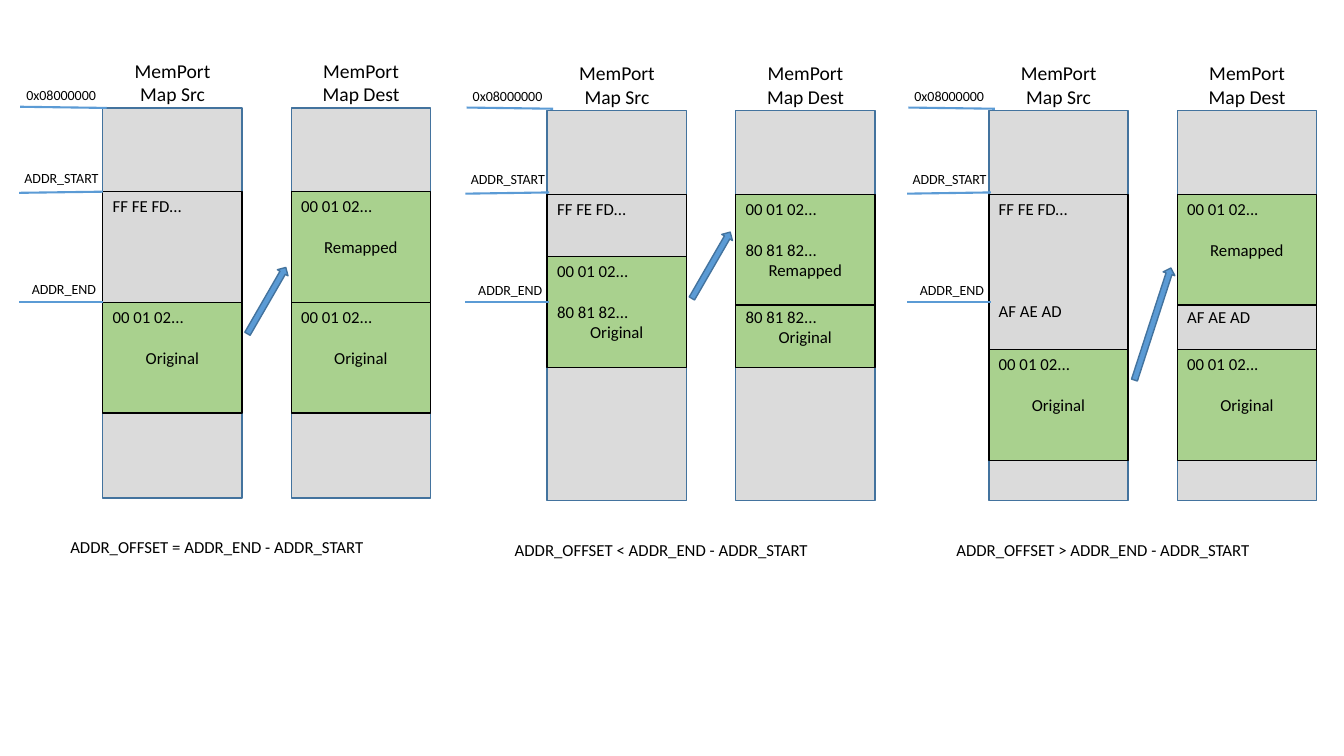
from pptx import Presentation
from pptx.dml.color import RGBColor
from pptx.enum.shapes import MSO_CONNECTOR, MSO_SHAPE
from pptx.enum.text import MSO_ANCHOR, PP_ALIGN
from pptx.oxml.ns import qn
from pptx.util import Cm, Pt
from lxml import etree

RECT, ARROW = MSO_SHAPE.RECTANGLE, MSO_SHAPE.RIGHT_ARROW
STRAIGHT = MSO_CONNECTOR.STRAIGHT
LEFT, CENTER = PP_ALIGN.LEFT, PP_ALIGN.CENTER
TOP, MIDDLE = MSO_ANCHOR.TOP, MSO_ANCHOR.MIDDLE

BLACK = RGBColor(0x00, 0x00, 0x00)
COLUMN_GREY = RGBColor(0xDB, 0xDB, 0xDB)
GREY = RGBColor(0xD9, 0xD9, 0xD9)
GREEN = RGBColor(0xA9, 0xD1, 0x8E)
BLUE = RGBColor(0x5B, 0x9B, 0xD5)
DARK_BLUE = RGBColor(0x43, 0x73, 0x9E)

FONT = "Calibri"
LINE_PT = 14.65                  # height of one 12 pt line
COL_W, COL_H = 3.51, 9.83        # memory column, cm
DEST_X = 4.75                    # from source column to destination column
START, END = 2.11, 4.9           # remapped address range
SIZE = END - START
ARROW_X = 4.13                   # centre of the gap between columns


def style_run(p, size):
    for r in p.runs:
        r.font.name = FONT
        r.font.size = Pt(size)
        r.font.color.rgb = BLACK


def add_box(s, kind, x, y, w, h, fill, line):
    sp = s.shapes.add_shape(kind, Cm(x), Cm(y), Cm(w), Cm(h))
    sp.shadow.inherit = False
    sp.fill.solid()
    sp.fill.fore_color.rgb = fill
    sp.line.color.rgb = line
    sp.line.width = Pt(1)
    return sp


def add_label(s, x, y, w, text, size):
    sp = s.shapes.add_textbox(Cm(x), Cm(y), Cm(w), Cm(1.24))
    tf = sp.text_frame
    tf.word_wrap = True
    tf.vertical_anchor = MIDDLE
    p = tf.paragraphs[0]
    p.text = text
    p.alignment = CENTER
    style_run(p, size)


def add_block(s, x, y, h, fill, lines):
    """Lines are (text, alignment, number of free lines above)."""
    sp = add_box(s, RECT, x, y, COL_W, h, fill, BLACK)
    tf = sp.text_frame
    tf.word_wrap = True
    tf.vertical_anchor = TOP
    tf.margin_top = Cm(0.03 if len(lines) * 0.52 + 1 > h else 0.11)
    tf.margin_bottom = 0
    for i, (text, align, gap) in enumerate(lines):
        p = tf.paragraphs[0] if i == 0 else tf.add_paragraph()
        p.text = text
        p.alignment = align
        p.space_before = Pt(gap * LINE_PT)
        style_run(p, 12)


def add_column(s, x, y, title, blocks):
    add_label(s, x + 0.4, y - 1.27, 2.72, title, 14)
    add_box(s, RECT, x, y, COL_W, COL_H, COLUMN_GREY, DARK_BLUE)
    for top, h, fill, lines in blocks:
        add_block(s, x, y + top, h, fill, lines)


def add_addresses(s, x, y):
    """Address labels and their marks, left of the source column."""
    marks = [("0x08000000", -2.41, -0.94, 2.72, (0.1, 0), (-2.08, -0.03)),
             ("ADDR_START", -2.55, 1.15, 3.02, (0, START), (-2.11, START + 0.03)),
             ("ADDR_END", -2.49, 3.94, 3.02, (0, 4.88), (-2.11, 4.88))]
    for text, dx, dy, w, (x1, y1), (x2, y2) in marks:
        add_label(s, x + dx, y + dy, w, text, 10)
        line = s.shapes.add_connector(STRAIGHT, Cm(x + x1), Cm(y + y1),
                                      Cm(x + x2), Cm(y + y2))
        line.line.color.rgb = BLUE
        line.line.width = Pt(1.5)
        etree.SubElement(line._element.spPr, qn("a:effectLst"))


def add_panel(s, x, y, gutter, sign, src, dest, arrow):
    add_column(s, x, y, "MemPort Map Src", src)
    add_column(s, x + DEST_X, y, "MemPort Map Dest", dest)
    add_addresses(s, x + gutter, y - gutter)
    # Arrow from the original data to its remapped place
    mid_y, length, angle = arrow
    sp = add_box(s, ARROW, x + ARROW_X - length / 2, y + mid_y - 0.15,
                 length, 0.31, BLUE, DARK_BLUE)
    sp.rotation = angle
    add_label(s, x - 1.45, y + 10.44, 8.66,
              f"ADDR_OFFSET {sign} ADDR_END - ADDR_START", 12)


# Contents of the memory blocks
FIRST = ("00 01 02...", LEFT, 0)
ERASED = ("FF FE FD...", LEFT, 0)
ORIGINAL = [FIRST, ("Original", CENTER, 1)]
REMAPPED = [FIRST, ("Remapped", CENTER, 1)]
SPLIT = ("80 81 82...", LEFT, 1)
TAIL = [("80 81 82...", LEFT, 0), ("Original", CENTER, 0)]

SHORT, LONG = 1.57, 3.91         # offset below and above the range size
PANELS = [
    (2.59, 2.72, 0, "=",
     [(START, SIZE, GREY, [ERASED]), (END, SIZE, GREEN, ORIGINAL)],
     [(START, SIZE, GREEN, REMAPPED), (END, SIZE, GREEN, ORIGINAL)],
     (4.85, 1.93, 300)),
    (13.79, 2.79, 0.05, "<",
     [(START, SHORT, GREY, [ERASED]),
      (START + SHORT, SIZE, GREEN, [FIRST, SPLIT, ("Original", CENTER, 0)])],
     [(START, SIZE, GREEN, [FIRST, SPLIT, ("Remapped", CENTER, 0)]),
      (END, SHORT, GREEN, TAIL)],
     (3.89, 1.93, 300)),
    (24.92, 2.79, 0.05, ">",
     [(START, LONG, GREY, [ERASED, ("AF AE AD", LEFT, 4)]),
      (START + LONG, SIZE, GREEN, ORIGINAL)],
     [(START, SIZE, GREEN, REMAPPED),
      (END, LONG - SIZE, GREY, [("AF AE AD", LEFT, 0)]),
      (START + LONG, SIZE, GREEN, ORIGINAL)],
     (5.37, 2.97, 288)),
]

prs = Presentation()
prs.slide_width, prs.slide_height = Cm(33.87), Cm(19.05)
s = prs.slides.add_slide(prs.slide_layouts[6])
for panel in PANELS:
    add_panel(s, *panel)
prs.save("out.pptx")
